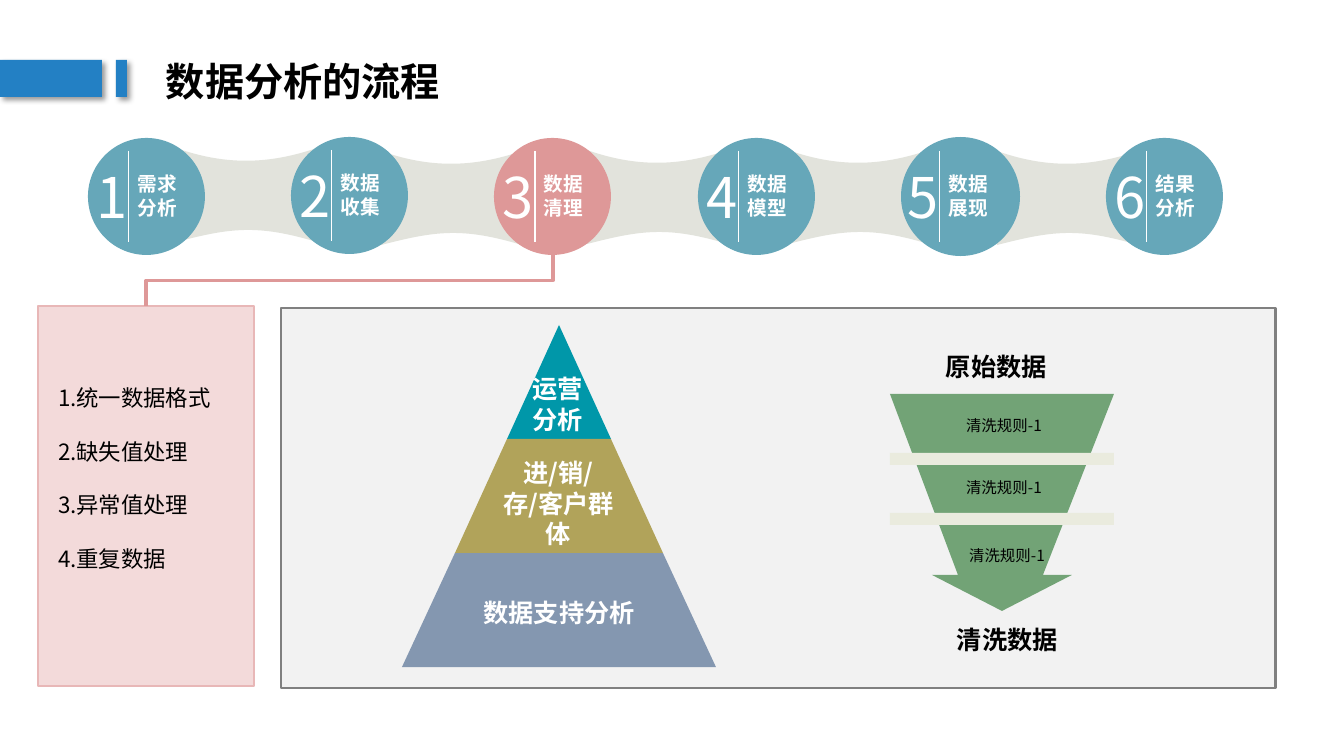
from dataclasses import dataclass

from lxml.etree import SubElement as Sub
from pptx import Presentation
from pptx.dml.color import RGBColor as Rgb
from pptx.enum.shapes import MSO_CONNECTOR as Link, MSO_SHAPE as Kind
from pptx.enum.text import MSO_ANCHOR as Anchor, PP_ALIGN as Align
from pptx.oxml.ns import qn
from pptx.util import Pt

PX = 914400 / 100.8


def emu(px):
    return round(px * PX)


@dataclass(frozen=True)
class Theme:
    font: str = "Noto Sans CJK SC"
    black: str = "000000"
    white: str = "FFFFFF"
    blue: str = "2380C4"
    teal: str = "66A7B9"
    rose: str = "DE9898"
    pink: str = "E8B7B7"
    band: str = "E2E3DC"
    pale: str = "F2F2F2"
    gray: str = "808080"
    green: str = "72A376"
    cream: str = "EAEBDE"
    tiers: tuple = ("0097A9", "B1A35A", "8497B0")
    title: int = 28
    digit: int = 40
    head: int = 18
    body: int = 16
    step: int = 14
    rule: int = 11


class Page:
    def __init__(self, slide, theme):
        self.shapes = slide.shapes
        self.theme = theme

    def paint(self, shape, fill, line=None, alpha=None, shadow=False):
        shape.fill.solid()
        shape.fill.fore_color.rgb = Rgb.from_string(fill)
        if line:
            shape.line.color.rgb = Rgb.from_string(line)
            shape.line.width = Pt(2)
        else:
            shape.line.fill.background()
        shape.shadow.inherit = False
        props = shape._element.spPr
        if alpha:
            color = props.find(qn("a:solidFill")).find(qn("a:srgbClr"))
            Sub(color, qn("a:alpha"), val=str(alpha * 1000))
        if shadow:
            drop = Sub(props.find(qn("a:effectLst")), qn("a:outerShdw"),
                       blurRad=str(Pt(4)), dist=str(Pt(3)), dir="2700000",
                       algn="tl", rotWithShape="0")
            color = Sub(drop, qn("a:srgbClr"), val=self.theme.black)
            Sub(color, qn("a:alpha"), val="40000")

    def shape(self, box, fill, kind=Kind.RECTANGLE, **style):
        self.paint(self.shapes.add_shape(kind, *map(emu, box)), fill, **style)

    def poly(self, points, fill, curves=()):
        """Closed outline; each index in curves starts a cubic of three points."""
        first, *rest = [(emu(x), emu(y)) for x, y in points]
        form = self.shapes.build_freeform(*first, scale=1)
        form.add_line_segments(rest, close=True)
        shape = form.convert_to_shape()
        legs = list(shape._element.iter(qn("a:lnTo")))
        for i in curves:
            bend, *tail = legs[i - 1:i + 2]
            bend.tag = qn("a:cubicBezTo")
            for leg in tail:
                bend.append(leg[0])
                leg.getparent().remove(leg)
        self.paint(shape, fill)

    def line(self, ends, color, width, kind=Link.STRAIGHT):
        link = self.shapes.add_connector(kind, *map(emu, ends))
        link.line.color.rgb = Rgb.from_string(color)
        link.line.width = Pt(width)
        Sub(link._element.spPr, qn("a:effectLst"))
        return link

    def elbow(self, x1, y1, x2, y2, color, width):
        """Bent line that leaves downwards: a sideways bend turned by 90 degrees."""
        wide, high = y2 - y1, x1 - x2
        left, top = (x1 + x2 - wide) / 2, (y1 + y2 - high) / 2
        link = self.line((left, top, left + wide, top + high), color, width, Link.ELBOW)
        link._element.spPr.find(qn("a:xfrm")).set("rot", "5400000")

    def text(self, box, words, size, color=None, bold=False, align=Align.LEFT,
             anchor=Anchor.MIDDLE, inset=(0, 0), wrap=True, gap=0, pitch=None):
        frame = self.shapes.add_textbox(*map(emu, box)).text_frame
        frame.word_wrap = wrap
        frame.vertical_anchor = anchor
        frame.margin_left = frame.margin_right = emu(inset[0])
        frame.margin_top = frame.margin_bottom = emu(inset[1])
        for i, part in enumerate(words.split("\n")):
            para = frame.paragraphs[0] if i == 0 else frame.add_paragraph()
            para.alignment = align
            if pitch:
                para.line_spacing = pitch
            if i and gap:
                para.space_before = Pt(gap)
            run = para.add_run()
            run.text = part
            font = run.font
            font.size, font.bold, font.name = Pt(size), bold, self.theme.font
            font.color.rgb = Rgb.from_string(color or self.theme.black)
            Sub(run._r.get_or_add_rPr(), qn("a:ea"), typeface=self.theme.font)


def steps(page):
    th = page.theme
    # Bands between the circles
    waist = [(0, 0), (51, 18), (94, 16), (141, 0),
             (141, 94), (81, 76), (54, 80), (0, 94)]
    for left, top in [(176, 148), (381, 151), (587, 150), (788, 150), (997, 151)]:
        page.poly([(left + x, top + y) for x, y in waist], th.band, curves=(1, 5))

    # Numbered circles: left, top, width, inward shift of the words
    rows = [(88, 138, 117, 0, "需求\n分析"), (291, 137, 117, 0, "数据\n收集"),
            (494, 138, 117, 0, "数据\n清理"), (698, 138, 117, 0, "数据\n模型"),
            (901, 137, 119, 2, "数据\n展现"), (1106, 138, 117, 0, "结果分析")]
    for i, (x, y, wide, shift, name) in enumerate(rows):
        page.shape((x, y, wide, wide), th.rose if i == 2 else th.teal, Kind.OVAL)
        mid, x = y + wide // 2, x - shift
        page.text((x + 50, mid - 24, 58, 47), name, th.step, th.white, bold=True)
        page.text((x + 5, mid - 38, 42, 76), str(i + 1), th.digit, th.white, inset=(4, 4))
        page.line((x + 41, mid - 45, x + 41, mid + 46), th.white, 0.75)


def pyramid(page):
    th = page.theme
    mid, top, tall, half = 559, 325, 114, 157
    for i, fill in enumerate(th.tiers):
        up, low = half * i // 3, half * (i + 1) // 3
        y = top + tall * i
        ends = [(mid + up, y)] if up else []
        page.poly([(mid - up, y), *ends,
                   (mid + low, y + tall), (mid - low, y + tall)], fill)
    for box, words in [((441, 564, 236, 96), "数据支持分析"),
                       ((499, 457, 119, 92), "进/销/存/客户群体"),
                       ((503, 372, 109, 64), "运营\n分析")]:
        page.text(box, words, th.head, th.white, bold=True, align=Align.CENTER)


def funnel(page):
    th = page.theme
    page.poly([(890, 394), (1114, 394), (1043, 575), (1072, 575),
               (1002, 611), (932, 575), (958, 575)], th.green)
    for y in (513, 453):
        page.shape((890, y, 224, 12), th.cream)
    for x, y in [(960, 417), (960, 479), (963, 547)]:
        page.text((x, y, 88, 18), "清洗规则-1", th.rule, align=Align.CENTER, pitch=0.95)
    for x, y, words in [(936, 346, "原始数据"), (947, 619, "清洗数据")]:
        page.text((x, y, 122, 40), words, th.head, bold=True,
                  anchor=Anchor.TOP, inset=(10, 5), wrap=False)


def main():
    deck = Presentation()
    deck.slide_width, deck.slide_height = emu(1344), emu(756)
    th = Theme()
    page = Page(deck.slides.add_slide(deck.slide_layouts[6]), th)

    # Title
    for x, wide in [(0, 102), (116, 11)]:
        page.shape((x, 60, wide, 37), th.blue, shadow=True)
    page.text((156, 52, 950, 43), "数据分析的流程", th.title, bold=True,
              anchor=Anchor.TOP, inset=(10, 5))

    steps(page)

    # Cleaning tasks
    page.shape((38, 306, 216, 380), th.pink, line=th.pink, alpha=50)
    page.text((48, 379, 173, 201), "1.统一数据格式\n2.缺失值处理\n3.异常值处理\n4.重复数据",
              th.body, anchor=Anchor.TOP, inset=(10, 5), gap=19.2)
    page.elbow(553, 255, 146, 306, th.rose, 2.25)

    # Detail panel
    page.shape((281, 308, 995, 380), th.pale, line=th.gray)
    pyramid(page)
    funnel(page)

    deck.save("out.pptx")


if __name__ == "__main__":
    main()
